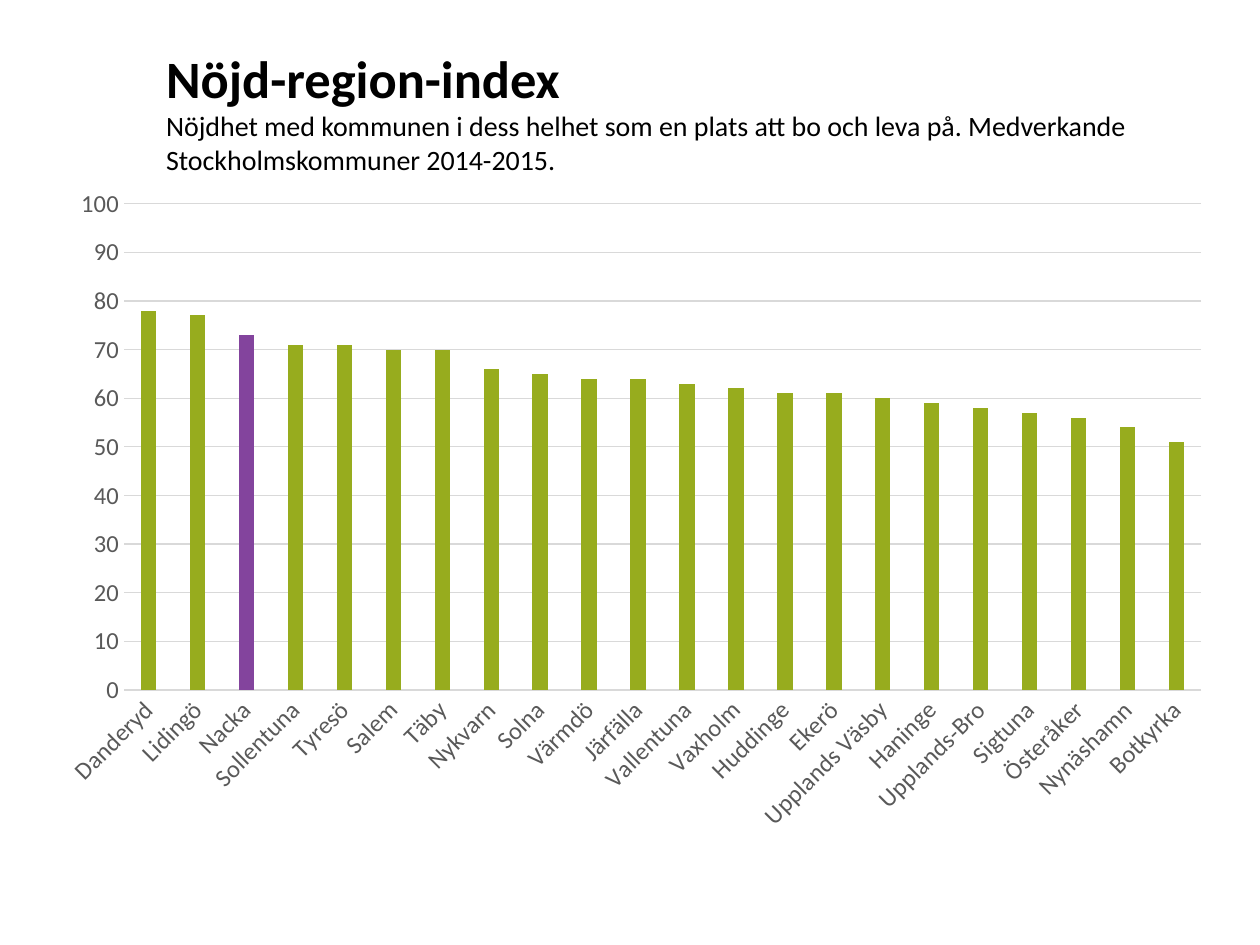
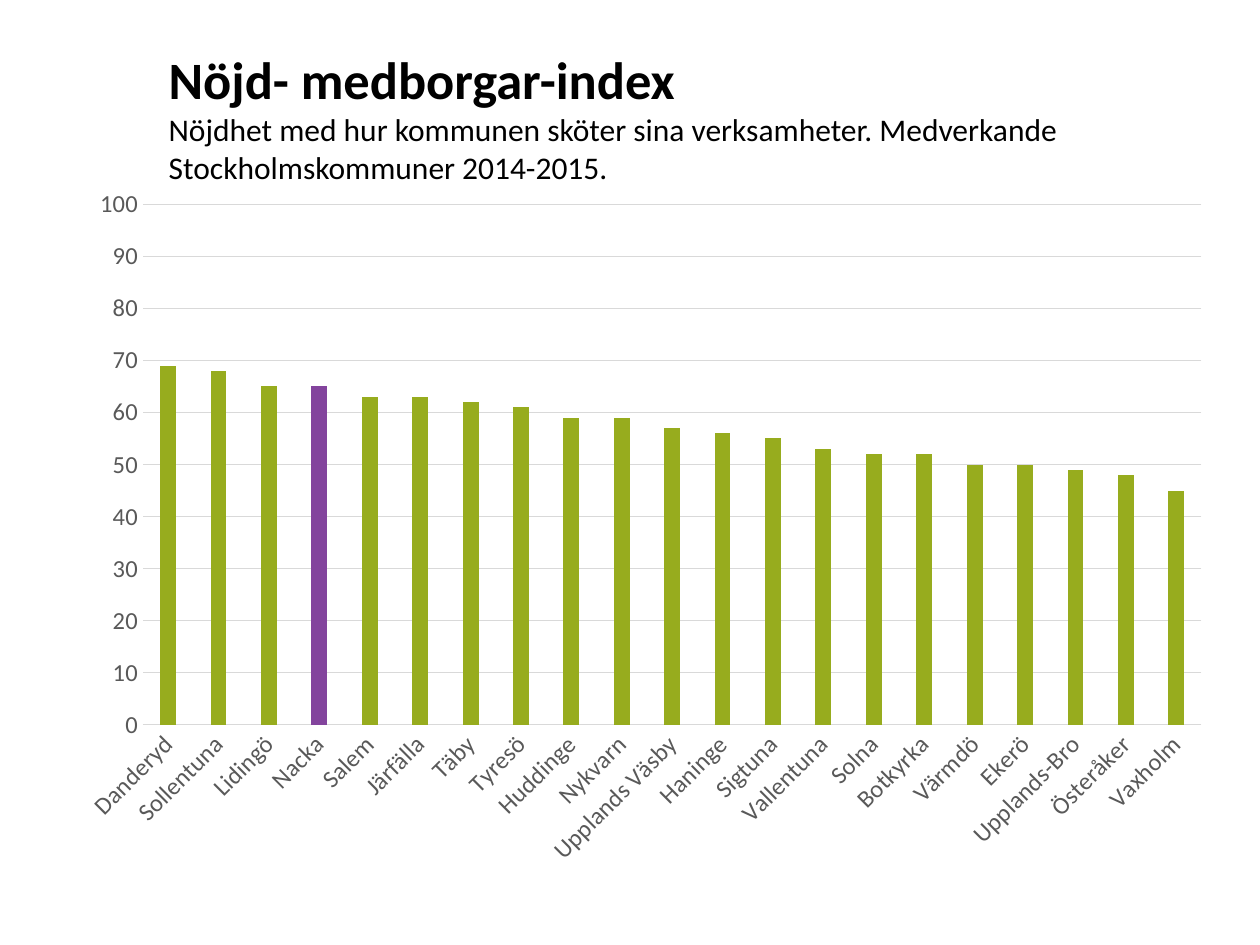
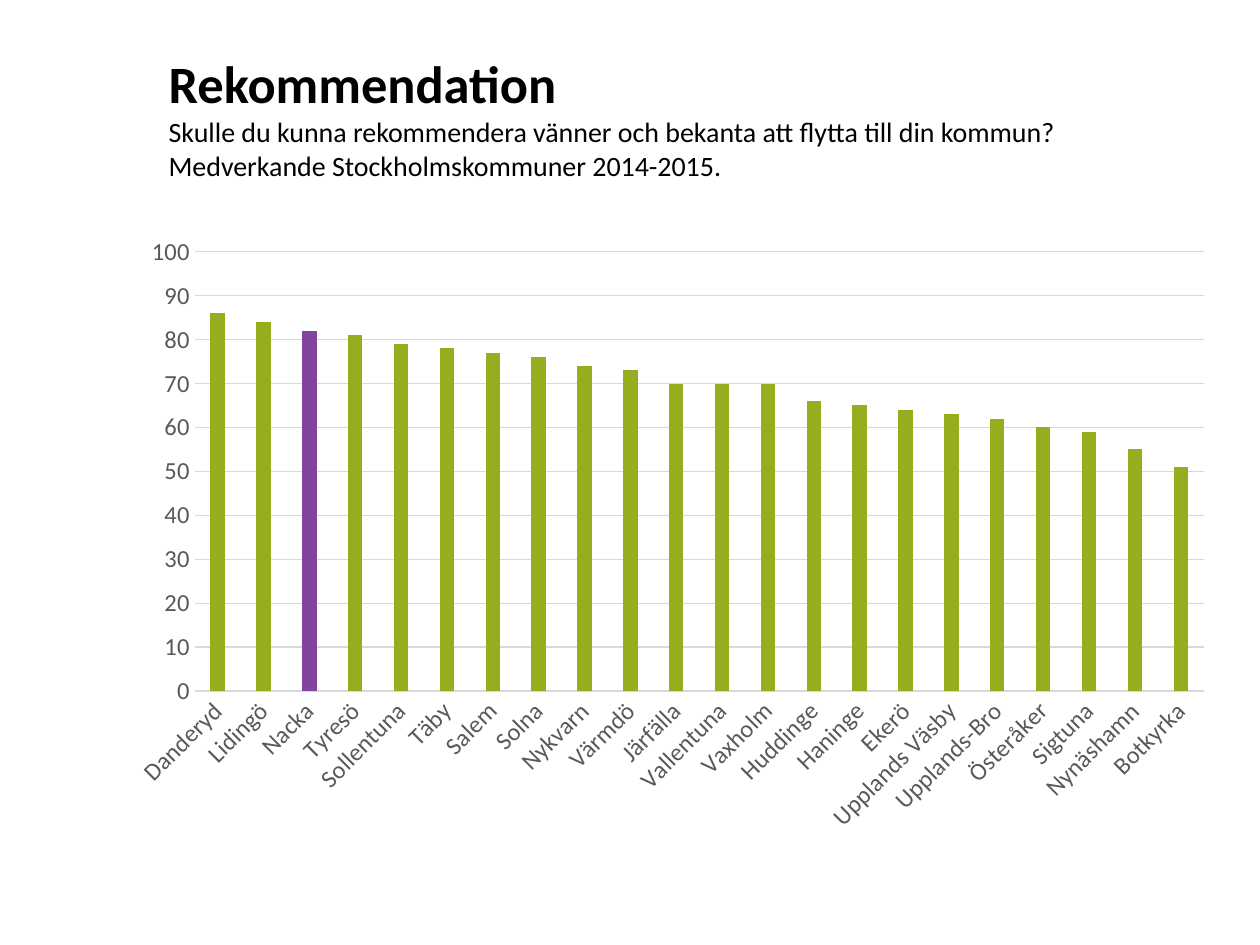
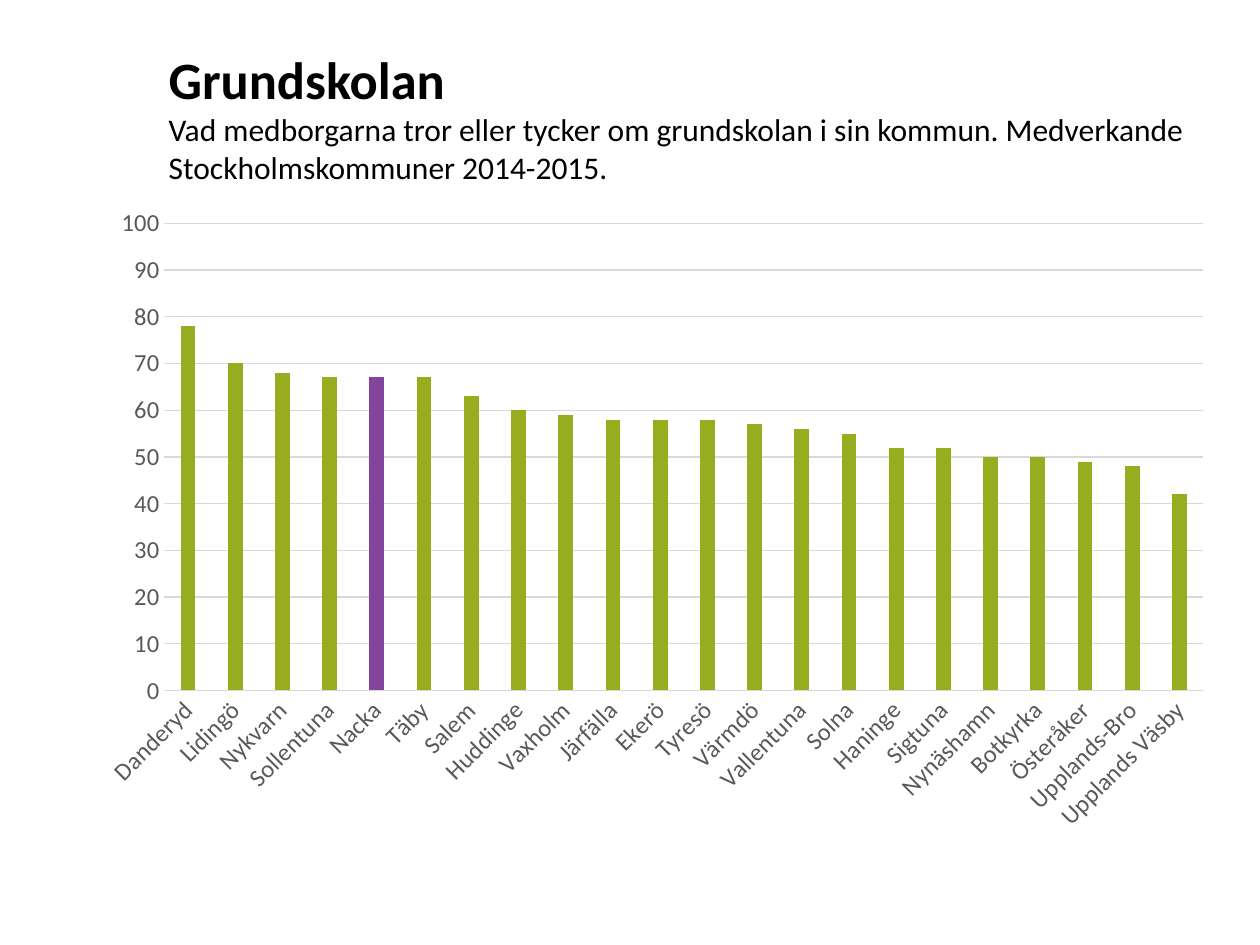
"""Build four slides with bar charts of citizen survey results in Stockholm municipalities."""
from pptx import Presentation
from pptx.chart.data import CategoryChartData
from pptx.dml.color import RGBColor
from pptx.enum.chart import XL_CHART_TYPE as CT, XL_TICK_MARK as TICK
from pptx.enum.text import MSO_ANCHOR as ANCHOR
from pptx.util import Inches, Pt

FONT = "Calibri"
BLACK, GREY, GRID = "000000", "595959", "D9D9D9"
GREEN, PURPLE = "97AC1E", "83449D"
HIGHLIGHT = "Nacka"

SLIDES = [
    dict(
        title="Nöjd-region-index",
        text="Nöjdhet med kommunen i dess helhet som en plats att bo och leva på. "
             "Medverkande Stockholmskommuner 2014-2015.",
        size=16, title_box=(1.22, 0.21, 8.5, 1.34), chart_box=(0.35, 1.39, 9.37, 5.31),
        names="Danderyd, Lidingö, Nacka, Sollentuna, Tyresö, Salem, Täby, Nykvarn, Solna, "
              "Värmdö, Järfälla, Vallentuna, Vaxholm, Huddinge, Ekerö, Upplands Väsby, "
              "Haninge, Upplands-Bro, Sigtuna, Österåker, Nynäshamn, Botkyrka",
        values=[78, 77, 73, 71, 71, 70, 70, 66, 65, 64, 64,
                63, 62, 61, 61, 60, 59, 58, 57, 56, 54, 51],
    ),
    dict(
        title="Nöjd- medborgar-index",
        text="Nöjdhet med hur kommunen sköter sina verksamheter. "
             "Medverkande Stockholmskommuner 2014-2015.",
        size=18, title_box=(1.24, 0.3, 8.49, 1.25), chart_box=(0.51, 1.39, 9.21, 5.59),
        names="Danderyd, Sollentuna, Lidingö, Nacka, Salem, Järfälla, Täby, Tyresö, Huddinge, "
              "Nykvarn, Upplands Väsby, Haninge, Sigtuna, Vallentuna, Solna, Botkyrka, "
              "Värmdö, Ekerö, Upplands-Bro, Österåker, Vaxholm",
        values=[69, 68, 65, 65, 63, 63, 62, 61, 59, 59, 57,
                56, 55, 53, 52, 52, 50, 50, 49, 48, 45],
    ),
    dict(
        title="Rekommendation",
        text="Skulle du kunna rekommendera vänner och bekanta att flytta till din kommun? "
             "Medverkande Stockholmskommuner 2014-2015.",
        size=16, title_box=(1.24, 0.3, 8.49, 1.25), chart_box=(0.91, 1.78, 8.82, 4.92),
        names="Danderyd, Lidingö, Nacka, Tyresö, Sollentuna, Täby, Salem, Solna, Nykvarn, "
              "Värmdö, Järfälla, Vallentuna, Vaxholm, Huddinge, Haninge, Ekerö, "
              "Upplands Väsby, Upplands-Bro, Österåker, Sigtuna, Nynäshamn, Botkyrka",
        values=[86, 84, 82, 81, 79, 78, 77, 76, 74, 73, 70,
                70, 70, 66, 65, 64, 63, 62, 60, 59, 55, 51],
    ),
    dict(
        title="Grundskolan",
        text="Vad medborgarna tror eller tycker om grundskolan i sin kommun. "
             "Medverkande Stockholmskommuner 2014-2015.",
        size=18, title_box=(1.24, 0.3, 8.49, 1.25), chart_box=(0.67, 1.55, 9.06, 5.15),
        names="Danderyd, Lidingö, Nykvarn, Sollentuna, Nacka, Täby, Salem, Huddinge, Vaxholm, "
              "Järfälla, Ekerö, Tyresö, Värmdö, Vallentuna, Solna, Haninge, Sigtuna, "
              "Nynäshamn, Botkyrka, Österåker, Upplands-Bro, Upplands Väsby",
        values=[78, 70, 68, 67, 67, 67, 63, 60, 59, 58, 58,
                58, 57, 56, 55, 52, 52, 50, 50, 49, 48, 42],
    ),
]


def paint(fill, color):
    fill.solid()
    fill.fore_color.rgb = RGBColor.from_string(color)


def add_text(p, text, size, color=BLACK, bold=False):
    r = p.add_run()
    r.text = text
    r.font.name, r.font.size, r.font.bold = FONT, Pt(size), bold
    paint(r.font.fill, color)


prs = Presentation()
prs.slide_width, prs.slide_height = Inches(10), Inches(7.5)

for d in SLIDES:
    s = prs.slides.add_slide(prs.slide_layouts[6])

    tf = s.shapes.add_textbox(*map(Inches, d["title_box"])).text_frame
    tf.word_wrap = True
    tf.vertical_anchor = ANCHOR.MIDDLE
    p = tf.paragraphs[0]
    add_text(p, d["title"], 30, bold=True)
    p.add_line_break()
    add_text(p, d["text"], d["size"])

    names = d["names"].split(", ")
    data = CategoryChartData()
    data.categories = names
    data.add_series("Series 1", d["values"])
    box = map(Inches, d["chart_box"])
    chart = s.shapes.add_chart(CT.COLUMN_CLUSTERED, *box, data).chart
    chart.has_title = chart.has_legend = False
    chart.font.name, chart.font.size = FONT, Pt(10)
    paint(chart.font.fill, BLACK)

    plot = chart.plots[0]
    plot.gap_width, plot.overlap = 219, -27
    plot.vary_by_categories = False
    bars = plot.series[0]
    bars.invert_if_negative = False
    paint(bars.format.fill, GREEN)
    paint(bars.points[names.index(HIGHLIGHT)].format.fill, PURPLE)

    cat, val = chart.category_axis, chart.value_axis
    for axis in (cat, val):
        axis.major_tick_mark = axis.minor_tick_mark = TICK.NONE
        font = axis.tick_labels.font
        font.name, font.size = FONT, Pt(14)
        paint(font.fill, GREY)
    cat._element.xpath("c:txPr/a:bodyPr")[0].set("rot", "-2700000")
    val.minimum_scale, val.maximum_scale, val.major_unit = 0, 100, 10
    val.format.line.fill.background()
    val.has_major_gridlines = True
    for line in (cat.format.line, val.major_gridlines.format.line):
        line.width = Pt(0.75)
        paint(line.fill, GRID)

prs.save("out.pptx")
